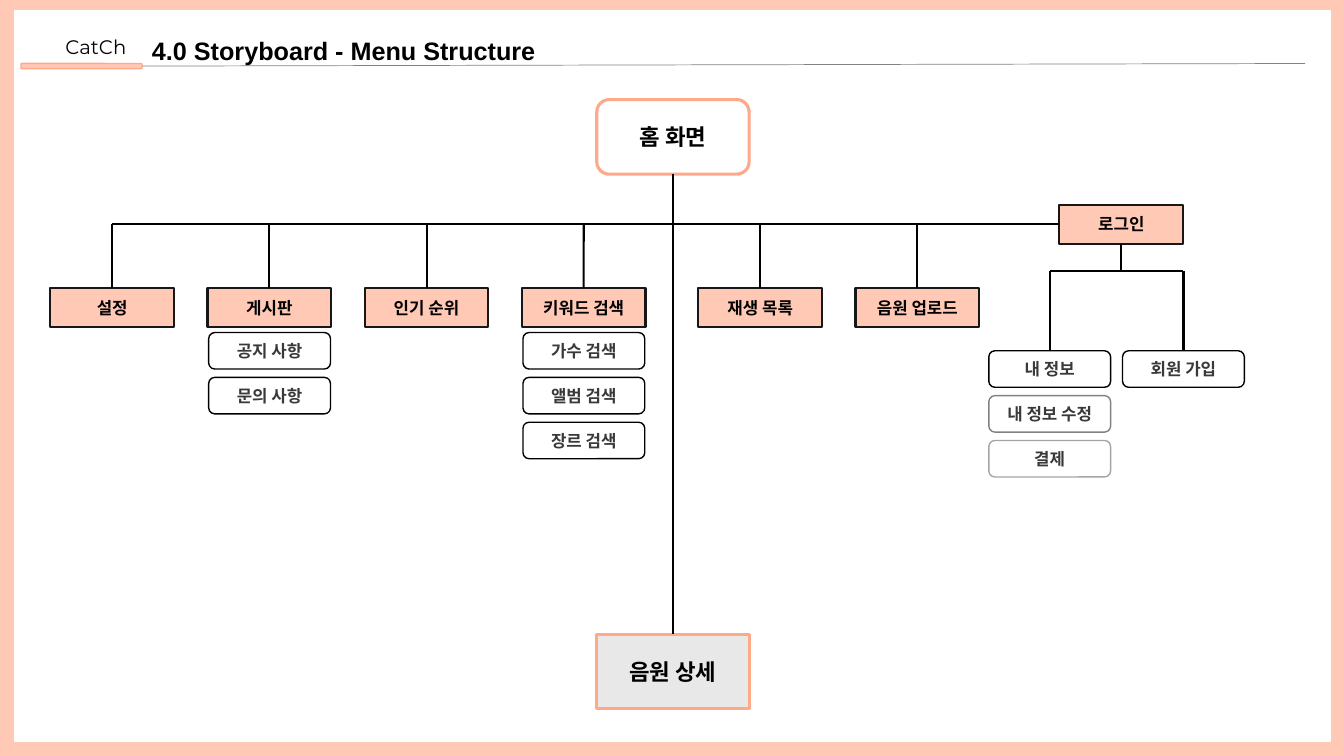
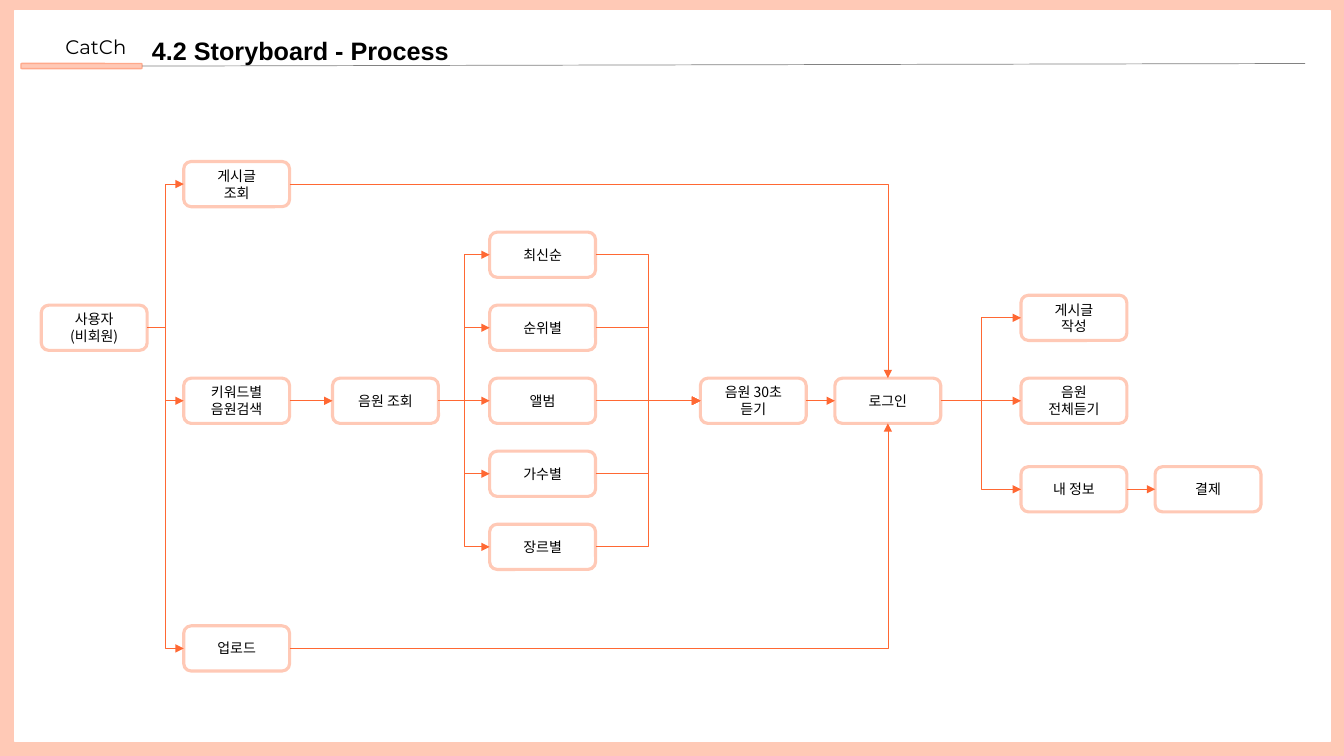
"""Build the menu structure and process slides of a storyboard."""
import lxml.etree
import pptx
import pptx.dml.color
import pptx.enum.shapes
import pptx.enum.text
import pptx.oxml.ns
import pptx.util

Cm = pptx.util.Cm
Pt = pptx.util.Pt
SHAPE = pptx.enum.shapes.MSO_SHAPE
CONNECTOR = pptx.enum.shapes.MSO_CONNECTOR
ALIGN = pptx.enum.text.PP_ALIGN
ANCHOR = pptx.enum.text.MSO_ANCHOR

TOP, LEFT, BOTTOM, RIGHT = range(4)
PEACH, CORAL, ORANGE = "FFC9B6", "FFA98B", "FF6833"
BLACK, WHITE, INK, CHARCOAL = "000000", "FFFFFF", "181717", "3B3838"
GREY, LIGHT_GREY, PALE = "828282", "A5A5A5", "E8E8E8"
KOREAN = "Noto Sans CJK KR"

BRAND_FONT = {"name": "Montserrat", "size": Pt(14)}
TITLE_FONT = {"name": "Arial", "size": Pt(18), "bold": True}
MAIN_FONT = {"name": KOREAN, "size": Pt(16), "bold": True}
MENU_FONT = {"name": KOREAN, "size": Pt(12), "bold": True}
STEP_FONT = {"name": KOREAN, "size": Pt(10)}
CENTRED = {"alignment": ALIGN.CENTER}
TIGHT = {"alignment": ALIGN.CENTER, "line_spacing": Pt(12)}
MIDDLE = {"word_wrap": True, "vertical_anchor": ANCHOR.MIDDLE}

PANEL = dict(kind=SHAPE.RECTANGLE, size=(33.17, 18.39), fill=WHITE, line=WHITE, weight=1)
BAND = dict(kind=SHAPE.ROUNDED_RECTANGLE, size=(3.05, 0.13), fill=PEACH, line=CORAL, weight=1)
HOME = dict(kind=SHAPE.ROUNDED_RECTANGLE, size=(3.84, 1.88), fill=WHITE, line=CORAL,
            weight=2.25, font=MAIN_FONT)
DETAIL = {**HOME, "kind": SHAPE.RECTANGLE, "fill": PALE}
MENU = dict(kind=SHAPE.RECTANGLE, size=(3.12, 0.98), fill=PEACH, line=INK, weight=1.5,
            font=MENU_FONT)
SUBMENU = dict(kind=SHAPE.ROUNDED_RECTANGLE, size=(3.07, 0.92), fill=WHITE, line=BLACK,
               weight=1, font=MENU_FONT, colour=CHARCOAL)
STEP = dict(kind=SHAPE.ROUNDED_RECTANGLE, size=(2.67, 1.14), fill=WHITE, line=PEACH,
            weight=2.25, font=STEP_FONT, paragraph=TIGHT)

MIDDLE_ROW, SORT_GAP = 10.1, 1.84
STEPS = {
    "사용자\n(비회원)": (1.04, MIDDLE_ROW - SORT_GAP),
    "게시글\n조회": (4.63, 4.64),
    "키워드별\n음원검색": (4.63, MIDDLE_ROW),
    "업로드": (4.63, 16.34),
    "음원 조회": (8.38, MIDDLE_ROW),
    "음원 30초 듣기": (17.65, MIDDLE_ROW),
    "로그인": (21.04, MIDDLE_ROW),
    "게시글\n작성": (25.73, 8.01),
    "음원\n전체듣기": (25.73, MIDDLE_ROW),
    "내 정보": (25.73, 12.33),
    "결제": (29.11, 12.33),
}
SORTS = ["최신순", "순위별", "앨범", "가수별", "장르별"]
FLOWS = {
    "사용자\n(비회원)": ["게시글\n조회", "키워드별\n음원검색", "업로드"],
    "키워드별\n음원검색": ["음원 조회"],
    "음원 조회": SORTS,
    **{sort: ["음원 30초 듣기"] for sort in SORTS},
    "음원 30초 듣기": ["로그인"],
    "로그인": ["게시글\n작성", "음원\n전체듣기", "내 정보"],
    "내 정보": ["결제"],
}


def rgb(colour):
    """Turn a hex string into a colour."""
    return pptx.dml.color.RGBColor.from_string(colour)


def apply(target, values):
    """Set attributes from a dict of format values."""
    for name, value in values.items():
        setattr(target, name, value)


def write(shape, text, font, colour=BLACK, paragraph_format=None, frame_format=None):
    """Write text into a shape in one format."""
    frame = shape.text_frame
    frame.text = text
    apply(frame, frame_format or {"word_wrap": True})
    for paragraph in frame.paragraphs:
        apply(paragraph, paragraph_format or {})
        for run in paragraph.runs:
            apply(run.font, font)
            run.font.color.rgb = rgb(colour)
    for properties in shape.element.iter(pptx.oxml.ns.qn("a:rPr")):
        east_asian = lxml.etree.SubElement(properties, pptx.oxml.ns.qn("a:ea"))
        east_asian.set("typeface", font["name"])


def add_label(slide, text, left, top, width, height, font):
    """Add a plain text box."""
    box = slide.shapes.add_textbox(Cm(left), Cm(top), Cm(width), Cm(height))
    write(box, text, font)


def add_box(slide, style, left, top, text=""):
    """Add a box of a given style, with its centred text."""
    width, height = style["size"]
    shape = slide.shapes.add_shape(style["kind"], Cm(left), Cm(top), Cm(width), Cm(height))
    shape.shadow.inherit = False
    shape.fill.solid()
    shape.fill.fore_color.rgb = rgb(style["fill"])
    shape.line.color.rgb = rgb(style["line"])
    shape.line.width = Pt(style["weight"])
    if text:
        write(shape, text, style["font"], style.get("colour", BLACK),
              style.get("paragraph", CENTRED), MIDDLE)
    return shape


def site(end):
    """Give the point of a (shape, side) pair, or of an (x, y) pair in Cm."""
    if not hasattr(end[0], "left"):
        return Cm(end[0]), Cm(end[1])
    shape, side = end
    across = {LEFT: 0, RIGHT: shape.width}.get(side, shape.width // 2)
    down = {TOP: 0, BOTTOM: shape.height}.get(side, shape.height // 2)
    return shape.left + across, shape.top + down


def add_line(slide, start, end, colour=BLACK, weight=1.5, kind=CONNECTOR.STRAIGHT, arrow=False):
    """Add a connector, joined to the shapes at its ends."""
    connector = slide.shapes.add_connector(kind, *site(start), *site(end))
    for point, join in ((start, connector.begin_connect), (end, connector.end_connect)):
        if hasattr(point[0], "left"):
            join(*point)
    connector.line.color.rgb = rgb(colour)
    connector.line.width = Pt(weight)
    properties = connector.element.spPr
    if arrow:
        outline = properties.find(pptx.oxml.ns.qn("a:ln"))
        lxml.etree.SubElement(outline, pptx.oxml.ns.qn("a:tailEnd")).set("type", "triangle")
    lxml.etree.SubElement(properties, pptx.oxml.ns.qn("a:effectLst"))
    return connector


def add_flow(slide, source, target, side=LEFT):
    """Add an arrow from the right of one step to a side of another."""
    start, end = (source, RIGHT), (target, side)
    level = site(start)[1] == site(end)[1]
    kind = CONNECTOR.STRAIGHT if level else CONNECTOR.ELBOW
    connector = add_line(slide, start, end, ORANGE, 0.5, kind, arrow=True)
    if side != LEFT:
        geometry = connector.element.spPr.find(pptx.oxml.ns.qn("a:prstGeom"))
        geometry.set("prst", "bentConnector2")


def add_slide(presentation, title):
    """Add a slide with the shared frame and header."""
    slide = presentation.slides.add_slide(presentation.slide_layouts[6])
    slide.background.fill.solid()
    slide.background.fill.fore_color.rgb = rgb(PEACH)
    add_box(slide, PANEL, 0.36, 0.28)
    add_label(slide, "CatCh", 1.4, 0.76, 2.46, 0.86, BRAND_FONT)
    band = add_box(slide, BAND, 0.53, 1.6)
    add_line(slide, (band, RIGHT), (32.89, 1.6), GREY, 0.5)
    add_label(slide, title, 3.58, 0.76, 16.38, 1.02, TITLE_FONT)
    return slide


def add_submenus(slide, left, top, texts, outlines=(BLACK, BLACK, BLACK)):
    """Stack submenu boxes downwards and return the first."""
    boxes = [add_box(slide, {**SUBMENU, "line": outline}, left, top + 1.13 * row, text)
             for row, (text, outline) in enumerate(zip(texts, outlines))]
    return boxes[0]


def build_menu_structure(presentation):
    """Build the menu tree."""
    slide = add_slide(presentation, "4.0 Storyboard - Menu Structure")
    home = add_box(slide, HOME, 15.04, 2.51, "홈 화면")
    detail = add_box(slide, DETAIL, 15.04, 15.98, "음원 상세")
    add_line(slide, (home, BOTTOM), (detail, TOP))

    bus, fork, menu_gap = 5.65, 6.83, 3.96
    login = add_box(slide, MENU, 26.7, bus - MENU["size"][1] / 2, "로그인")
    add_line(slide, (2.83, bus), (login, LEFT))
    groups = [
        (1.27, {"설정": [], "게시판": ["공지 사항", "문의 사항"], "인기 순위": [],
                "키워드 검색": ["가수 검색", "앨범 검색", "장르 검색"]}),
        (17.6, {"재생 목록": [], "음원 업로드": []}),
    ]
    for first, menus in groups:
        for column, (text, submenus) in enumerate(menus.items()):
            left = first + menu_gap * column
            menu = add_box(slide, MENU, left, 7.26, text)
            add_line(slide, (menu, TOP), (left + MENU["size"][0] / 2, bus))
            if submenus:
                add_submenus(slide, left + 0.03, 8.38, submenus)

    profile = add_submenus(slide, 24.92, 8.84, ["내 정보", "내 정보 수정", "결제"],
                           (BLACK, GREY, LIGHT_GREY))
    sign_up = add_submenus(slide, 28.29, 8.84, ["회원 가입"])
    half = SUBMENU["size"][0] / 2
    branches = {24.92 + half: profile, 28.29 + half: sign_up}
    add_line(slide, (login, BOTTOM), (28.26, fork))
    add_line(slide, *[(x, fork) for x in branches])
    for x, submenu in branches.items():
        add_line(slide, (submenu, TOP), (x, fork))


def build_process(presentation):
    """Build the process flow."""
    slide = add_slide(presentation, "4.2 Storyboard - Process")
    sorts = {text: (12.34, MIDDLE_ROW + SORT_GAP * (row - 2)) for row, text in enumerate(SORTS)}
    steps = {text: add_box(slide, STEP, left, centre - STEP["size"][1] / 2, text)
             for text, (left, centre) in {**STEPS, **sorts}.items()}
    for source, targets in FLOWS.items():
        for target in targets:
            add_flow(slide, steps[source], steps[target])
    add_flow(slide, steps["게시글\n조회"], steps["로그인"], TOP)
    add_flow(slide, steps["업로드"], steps["로그인"], BOTTOM)


def main():
    """Build and save the presentation."""
    presentation = pptx.Presentation()
    apply(presentation, {"slide_width": Cm(33.87), "slide_height": Cm(19.05)})
    build_menu_structure(presentation)
    build_process(presentation)
    presentation.save("out.pptx")


if __name__ == "__main__":
    main()
